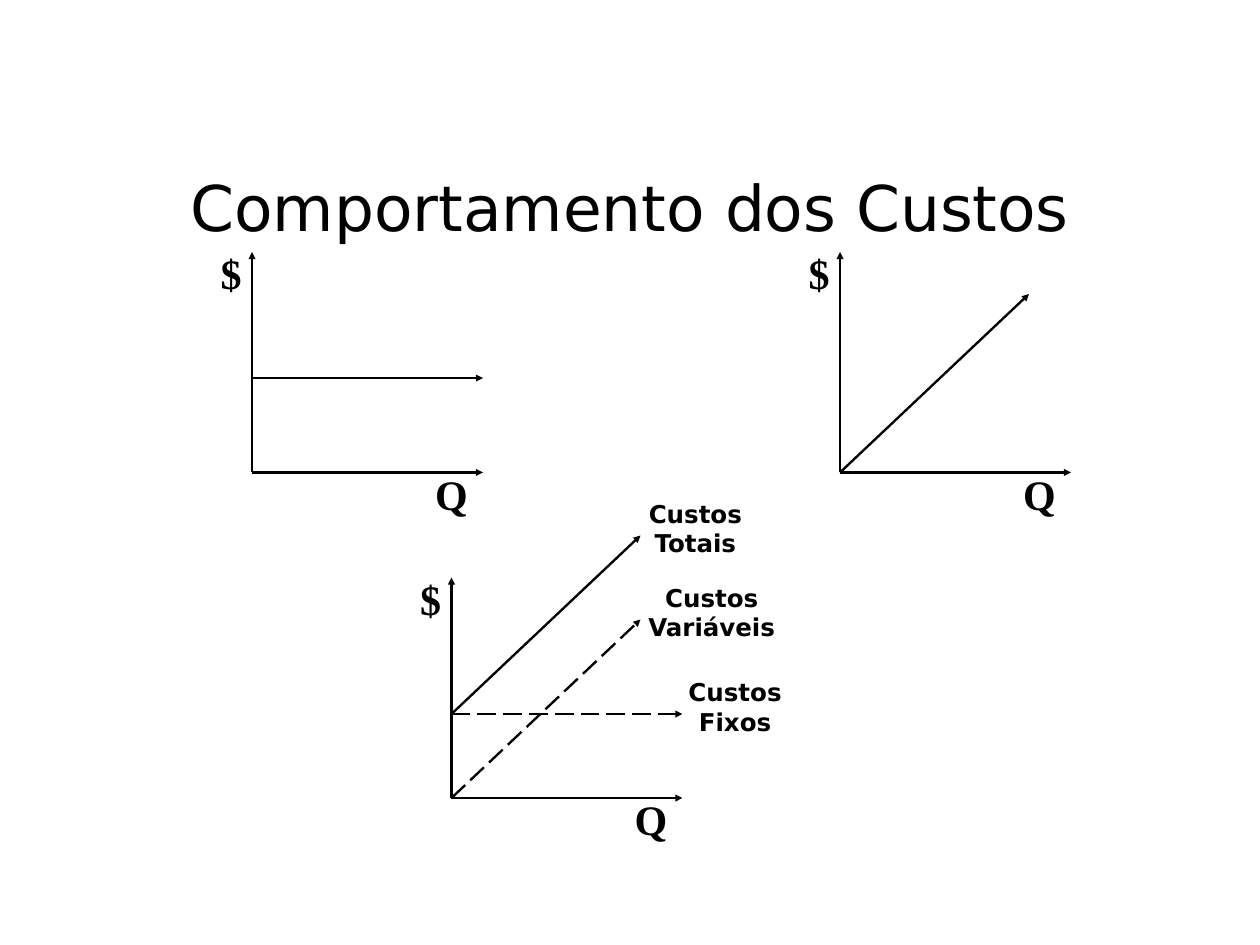
from lxml.etree import SubElement as Sub
from pptx import Presentation
from pptx.dml.color import RGBColor
from pptx.enum.dml import MSO_LINE as Dash
from pptx.enum.shapes import MSO_CONNECTOR as Conn
from pptx.enum.text import MSO_ANCHOR as Anchor, PP_ALIGN as Align
from pptx.oxml.ns import qn
from pptx.util import Pt

BLACK = RGBColor(0, 0, 0)
SANS, SERIF = "DejaVu Sans", "Times New Roman"

prs = Presentation()
prs.slide_width, prs.slide_height = Pt(1080), Pt(810)
slide = prs.slides.add_slide(prs.slide_layouts[6])


def write(text, x, y, wide, high, size, font=SANS, bold=True, anchor=Anchor.TOP):
    box = slide.shapes.add_textbox(Pt(x), Pt(y), Pt(wide), Pt(high))
    frame = box.text_frame
    frame.word_wrap = True
    frame.vertical_anchor = anchor
    frame.margin_left = frame.margin_right = Pt(10.8)
    frame.margin_top = frame.margin_bottom = Pt(5.4)
    para = frame.paragraphs[0]
    para.alignment = Align.CENTER
    run = para.add_run()
    run.text = text
    run.font.name, run.font.size, run.font.bold = font, Pt(size), bold
    run.font.color.rgb = BLACK


def arrow(x, y, run, rise, dash=None):
    """Draw an arrow from (x, y) that goes right by run and up by rise."""
    line = slide.shapes.add_connector(
        Conn.STRAIGHT, Pt(x), Pt(y), Pt(x + run), Pt(y - rise))
    line.line.width = Pt(2)
    line.line.color.rgb = BLACK
    if dash:
        line.line.dash_style = dash
    Sub(line.line._get_or_add_ln(), qn("a:tailEnd"), type="triangle")
    Sub(line._element.spPr, qn("a:effectLst"))


write("Comportamento dos Custos", 81, 135, 918, 84, 54,
      bold=False, anchor=Anchor.MIDDLE)

# Each chart: origin, then cost lines as (start height, run, rise, dash)
WIDE, TALL, SLOPE = 198, 189, (162, 153)
charts = [
    (216, 405, [(81, WIDE, 0, None)]),
    (720, 405, [(0, *SLOPE, None)]),
    (387, 684, [(72, WIDE, 0, Dash.LONG_DASH),
                (72, *SLOPE, None),
                (0, *SLOPE, Dash.LONG_DASH)]),
]
for x, y, costs in charts:
    arrow(x, y, 0, TALL)
    arrow(x, y, WIDE, 0)
    write("$", x - 45, y - 198, 54, 54, 36, font=SERIF)
    write("Q", x + 144, y - 9, 54, 54, 36, font=SERIF)
    for start, run, rise, dash in costs:
        arrow(x, y - start, run, rise, dash)

labels = [
    ("Custos Totais", 515, 422),
    ("Custos Variáveis", 529, 494),
    ("Custos Fixos", 549, 575),
]
for text, x, y in labels:
    write(text, x, y, 162, 62, 21)

prs.save("out.pptx")
